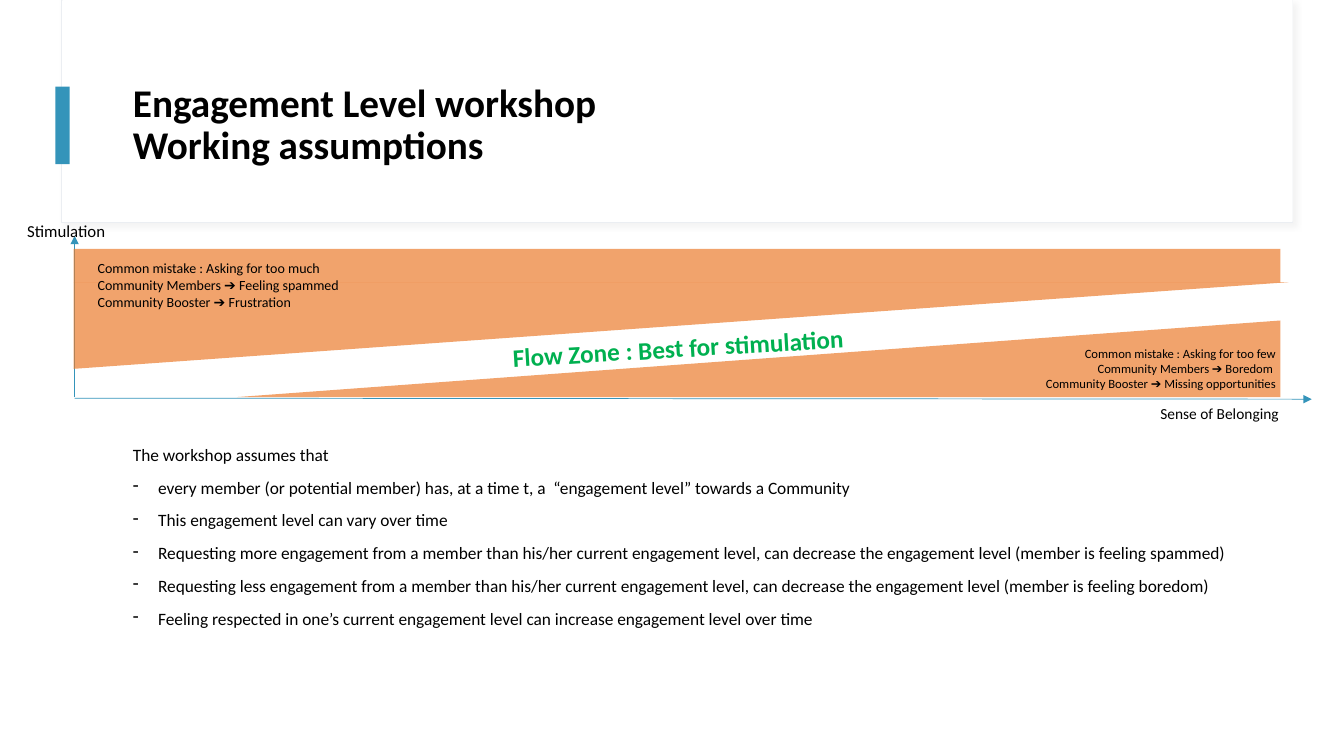
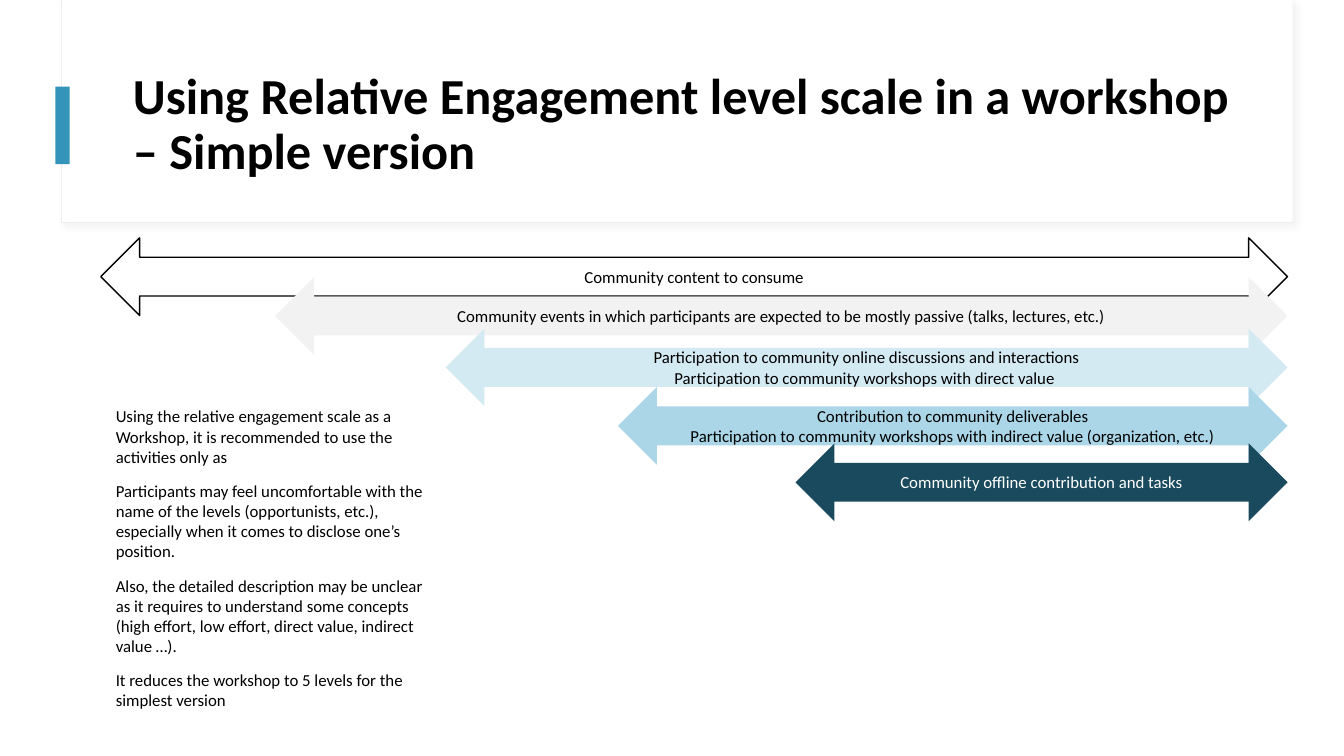
import dataclasses

import lxml.etree
import pptx
import pptx.dml.color
import pptx.enum.shapes
import pptx.enum.text
import pptx.oxml.ns
import pptx.util

Inches = pptx.util.Inches
SHAPE = pptx.enum.shapes.MSO_SHAPE
ALIGN = pptx.enum.text.PP_ALIGN
ANCHOR = pptx.enum.text.MSO_ANCHOR


@dataclasses.dataclass(frozen=True)
class Theme:
    font: str = "Calibri"
    # Colours
    white: str = "FFFFFF"
    black: str = "000000"
    frame: str = "EBEEF2"
    shadow: str = "D9D9D9"
    accent: str = "3494BA"
    mistake: str = "EC7B2B"
    flow: str = "00B050"
    grey: str = "F2F2F2"
    pale_blue: str = "D4EAF3"
    light_blue: str = "AAD6E7"
    dark_blue: str = "1A4A5D"
    # Type sizes in points
    title: float = 28
    large_title: float = 36
    zone: float = 18
    list_text: float = 12.4
    text: float = 12
    axis: float = 11
    note: float = 10
    small_note: float = 9


THEME = Theme()


# Helpers
def rgb(value):
    return pptx.dml.color.RGBColor.from_string(value)


def add_xml(parent, tag, **attributes):
    child = lxml.etree.SubElement(parent, pptx.oxml.ns.qn(tag))
    for name, value in attributes.items():
        child.set(name, str(value))
    return child


def write(shape, lines, size, color=THEME.black, bold=False, align=ALIGN.LEFT,
          anchor=ANCHOR.TOP, line_spacing=None, gap=0):
    """Fill a shape with one paragraph a line; gap is the space between them."""
    frame = shape.text_frame
    frame.word_wrap = True
    frame.vertical_anchor = anchor
    frame.text = "\n".join(lines)
    for index, paragraph in enumerate(frame.paragraphs):
        paragraph.alignment = align
        if line_spacing:
            paragraph.line_spacing = line_spacing
        if gap and index:
            paragraph.space_before = pptx.util.Pt(gap)
        for run in paragraph.runs:
            run.font.name = THEME.font
            run.font.size = pptx.util.Pt(size)
            run.font.bold = bold
            run.font.color.rgb = rgb(color)


def add_text(slide, left, top, width, height, lines, size, **style):
    box = slide.shapes.add_textbox(
        Inches(left), Inches(top), Inches(width), Inches(height))
    write(box, lines, size, **style)
    return box


def add_block(slide, kind, left, top, width, height, fill, line=None,
              line_width=0.75, opacity=None, flip=None):
    block = slide.shapes.add_shape(
        kind, Inches(left), Inches(top), Inches(width), Inches(height))
    block.shadow.inherit = False
    block.fill.solid()
    block.fill.fore_color.rgb = rgb(fill)
    if line:
        block.line.color.rgb = rgb(line)
        block.line.width = pptx.util.Pt(line_width)
    else:
        block.line.fill.background()
    properties = block.element.spPr
    if opacity:
        color = properties.find(".//" + pptx.oxml.ns.qn("a:srgbClr"))
        add_xml(color, "a:alpha", val=opacity * 1000)
    if flip:
        properties.xfrm.set(flip, "1")
    return block


def add_shadow(block):
    effects = block.element.spPr.find(pptx.oxml.ns.qn("a:effectLst"))
    shadow = add_xml(effects, "a:outerShdw", blurRad=pptx.util.Pt(4),
                     dist=pptx.util.Pt(3), dir=45 * 60000, algn="tl", rotWithShape=0)
    color = add_xml(shadow, "a:srgbClr", val=THEME.shadow)
    add_xml(color, "a:alpha", val=30000)


def add_axis(slide, start, end):
    axis = slide.shapes.add_connector(
        pptx.enum.shapes.MSO_CONNECTOR.STRAIGHT,
        *(Inches(value) for value in (*start, *end)))
    axis.line.color.rgb = rgb(THEME.accent)
    axis.line.width = pptx.util.Pt(0.5)
    add_xml(axis.line._get_or_add_ln(), "a:tailEnd", type="triangle")
    add_xml(axis.element.spPr, "a:effectLst")


def add_dash(paragraph):
    properties = paragraph._p.get_or_add_pPr()
    properties.set("marL", str(Inches(0.25)))
    properties.set("indent", str(-Inches(0.25)))
    add_xml(properties, "a:buChar", char="-")


def add_titled_slide(presentation, title, size):
    """Shared header: shadowed frame, accent bar and title."""
    slide = presentation.slides.add_slide(presentation.slide_layouts[6])
    frame = add_block(slide, SHAPE.RECTANGLE, 0.61, 0, 12.21, 2.21,
                      THEME.white, THEME.frame)
    add_shadow(frame)
    add_block(slide, SHAPE.RECTANGLE, 0.62, 0, 12.2, 2.2, THEME.white)
    add_block(slide, SHAPE.RECTANGLE, 0.55, 0.86, 0.14, 0.77, THEME.accent)
    add_text(slide, 1.22, 0.6, 11.12, 1.29, [title], size, bold=True,
             anchor=ANCHOR.MIDDLE, line_spacing=0.9)
    return slide


# Slide 1
def add_flow_diagram(slide):
    # Axes
    add_text(slide, 11.41, 3.96, 1.7, 0.29, ["Sense of Belonging"], THEME.axis)
    add_axis(slide, (0.74, 3.94), (0.74, 2.34))
    add_axis(slide, (0.74, 3.95), (13.01, 3.96))
    add_text(slide, 0.17, 2.14, 2.58, 0.3, ["Stimulation"], THEME.text)

    # Mistake zones above and below the flow zone
    for kind, left, top, width, height, flip in (
            (SHAPE.RIGHT_TRIANGLE, 0.73, 2.8, 12.05, 0.86, "flipV"),
            (SHAPE.RECTANGLE, 0.73, 2.47, 11.97, 0.33, None),
            (SHAPE.RIGHT_TRIANGLE, 2.35, 3.18, 10.35, 0.76, "flipH")):
        add_block(slide, kind, left, top, width, height, THEME.mistake,
                  opacity=69, flip=flip)

    # Zone labels
    add_text(slide, 0.87, 2.53, 5.13, 0.61, [
        "Common mistake : Asking for too much",
        "Community Members ➔ Feeling spammed",
        "Community Booster ➔ Frustration"], THEME.note)
    add_text(slide, 8.12, 3.38, 4.63, 0.56, [
        "Common mistake : Asking for too few",
        "Community Members ➔ Boredom ",
        "Community Booster ➔ Missing opportunities"],
        THEME.small_note, align=ALIGN.RIGHT)
    flow = add_text(slide, 4.52, 3.25, 4.41, 0.4, ["Flow Zone : Best for stimulation"],
                    THEME.zone, color=THEME.flow, bold=True, align=ALIGN.CENTER)
    flow.rotation = 356.6


def build_assumptions(presentation):
    slide = add_titled_slide(
        presentation, "Engagement Level workshop\vWorking assumptions", THEME.title)
    add_flow_diagram(slide)
    body = add_text(slide, 1.22, 4.38, 11.12, 2.37, [
        "The workshop assumes that",
        "every member (or potential member) has, at a time t, a  “engagement level” "
        "towards a Community",
        "This engagement level can vary over time",
        "Requesting more engagement from a member than his/her current engagement level, "
        "can decrease the engagement level (member is feeling spammed)",
        "Requesting less engagement from a member than his/her current engagement level, "
        "can decrease the engagement level (member is feeling boredom)",
        "Feeling respected in one’s current engagement level can increase engagement "
        "level over time"], THEME.list_text, line_spacing=0.9, gap=10)
    for paragraph in body.text_frame.paragraphs[1:]:
        add_dash(paragraph)


# Slide 2
def add_level_arrow(slide, left, top, fill, lines, color=THEME.black, line=None):
    right = 12.77
    arrow = add_block(slide, SHAPE.LEFT_RIGHT_ARROW, left, top, right - left, 0.77,
                      fill, line, line_width=1)
    write(arrow, lines, THEME.text, color=color, align=ALIGN.CENTER,
          anchor=ANCHOR.MIDDLE)


def build_scale(presentation):
    slide = add_titled_slide(
        presentation,
        "Using Relative Engagement level scale in a workshop – Simple version",
        THEME.large_title)

    # Engagement levels, from widest to narrowest
    add_level_arrow(slide, 1, 2.36, THEME.white, ["Community content to consume"],
                    line=THEME.black)
    add_level_arrow(slide, 2.73, 2.75, THEME.grey, [
        "Community events in which participants are expected to be mostly passive "
        "(talks, lectures, etc.)"])
    add_level_arrow(slide, 4.42, 3.26, THEME.pale_blue, [
        "Participation to community online discussions and interactions",
        "Participation to community workshops with direct value "])
    add_level_arrow(slide, 6.13, 3.84, THEME.light_blue, [
        "Contribution to community deliverables",
        "Participation to community workshops with indirect value (organization, etc.)"])
    add_level_arrow(slide, 7.89, 4.4, THEME.dark_blue, [
        "Community offline contribution and tasks"], color=THEME.white)

    # Advice
    add_text(slide, 1.05, 3.98, 3.34, 3.14, [
        "Using the relative engagement scale as a Workshop, it is recommended to use "
        "the activities only as",
        "Participants may feel uncomfortable with the name of the levels "
        "(opportunists, etc.), especially when it comes to disclose one’s position.",
        "Also, the detailed description may be unclear as it requires to understand "
        "some concepts (high effort, low effort, direct value, indirect value …).",
        "It reduces the workshop to 5 levels for the simplest version"],
        THEME.text, gap=10)


def main():
    presentation = pptx.Presentation()
    presentation.slide_width = Inches(13.33)
    presentation.slide_height = Inches(7.5)
    build_assumptions(presentation)
    build_scale(presentation)
    presentation.save("out.pptx")


if __name__ == "__main__":
    main()
